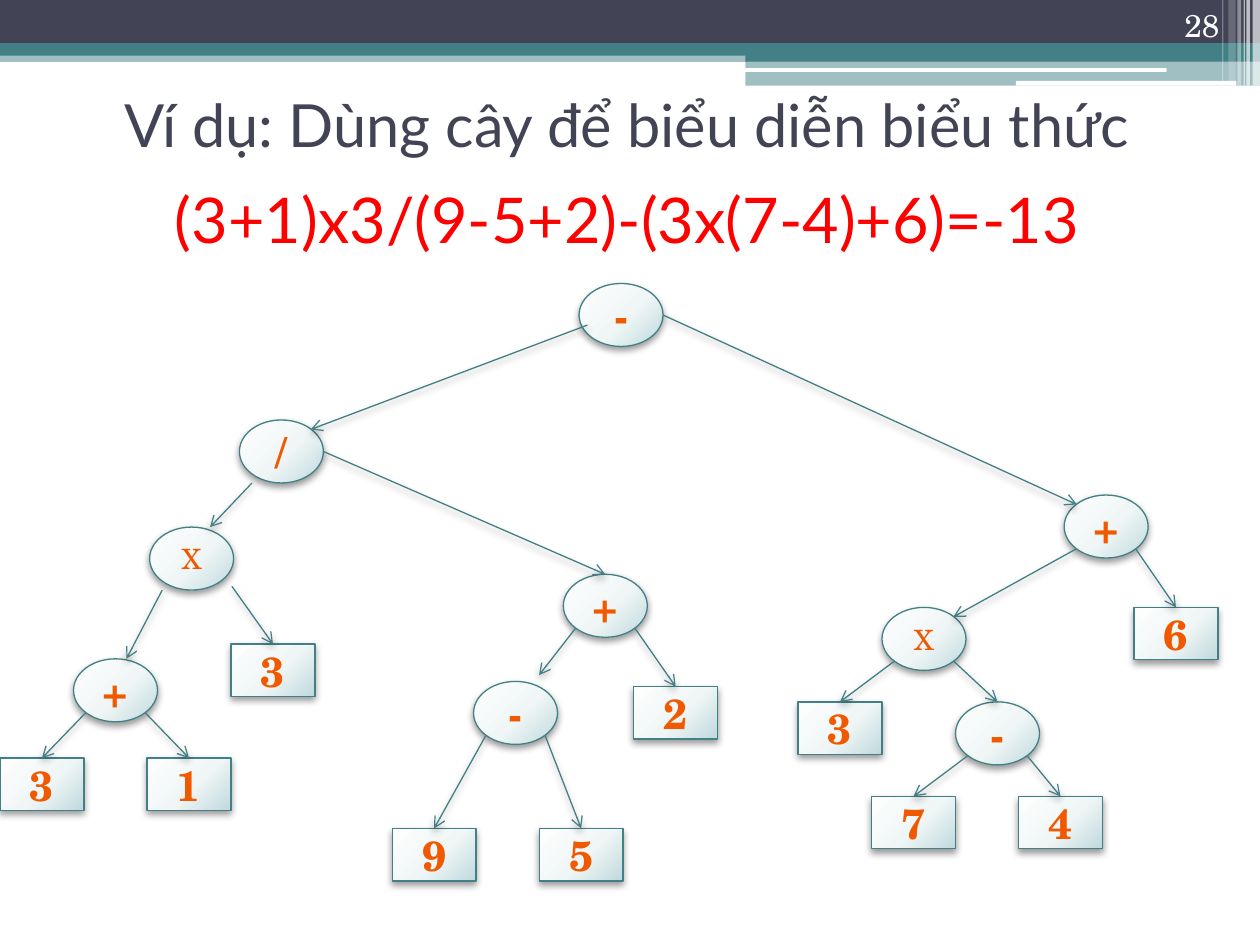
from dataclasses import dataclass
from typing import Iterator

from lxml import etree
from pptx import Presentation
from pptx.dml.color import RGBColor
from pptx.enum.shapes import MSO_CONNECTOR, MSO_SHAPE
from pptx.enum.text import MSO_ANCHOR, MSO_AUTO_SIZE, PP_ALIGN
from pptx.oxml import parse_xml
from pptx.oxml.ns import nsdecls, qn
from pptx.util import Inches, Pt

RECT, ROUND, ELLIPSE = MSO_SHAPE.RECTANGLE, MSO_SHAPE.ROUNDED_RECTANGLE, MSO_SHAPE.OVAL
CENTER, RIGHT_ALIGN = PP_ALIGN.CENTER, PP_ALIGN.RIGHT
MIDDLE, BOTTOM = MSO_ANCHOR.MIDDLE, MSO_ANCHOR.BOTTOM
STRAIGHT = MSO_CONNECTOR.STRAIGHT

# The slide is a grid of 120 columns by 90 rows.
COLUMNS, ROWS = 120, 90
CELL = Inches(10) // COLUMNS
NODE_WIDTH, OPERATOR_HEIGHT, NUMBER_HEIGHT = 8, 6, 5

# Points on a node, as shares of its width and height.
TOP, RIGHT = (0.5, 0), (1, 0.5)
TOP_LEFT, TOP_RIGHT = (0.15, 0.15), (0.85, 0.15)
LOW_LEFT, LOW_RIGHT = (0.15, 0.85), (0.85, 0.85)


@dataclass(frozen=True)
class Theme:
    dark: str = "424456"
    teal: str = "438086"
    white: str = "FFFFFF"
    red: str = "FF0000"
    text_edge: str = "9C4816"
    node_stops: tuple = ((0, "FEFEFE"), (55, "F0F6F6"), (100, "BFD9DD"))
    text_stops: tuple = ((0, "782C00"), (43, "F15900"), (48, "E15300"), (100, "782C00"))
    title_font: str = "Lato"
    body_font: str = "TeX Gyre Schola"
    title_size: float = 34
    formula_size: float = 36
    label_size: float = 24
    times_size: float = 16
    number_size: float = 18
    line_width: float = 0.75


THEME = Theme()


@dataclass(frozen=True)
class Band:
    column: float
    row: float
    width: float
    height: float
    color: str
    opacity: int = 100
    shape: int = RECT


@dataclass(frozen=True)
class Node:
    label: str
    column: float
    row: float
    branches: tuple = ()

    @property
    def height(self) -> float:
        return OPERATOR_HEIGHT if self.branches else NUMBER_HEIGHT

    def point(self, share: tuple) -> tuple:
        return self.column + share[0] * NODE_WIDTH, self.row + share[1] * self.height


@dataclass(frozen=True)
class Branch:
    child: Node
    start: tuple
    end: tuple = TOP


BANDS = (
    Band(0, 4.8, COLUMNS, 1.1, THEME.teal, 50),
    Band(0, 0, COLUMNS, 4.1, THEME.dark),
    Band(0, 4.1, COLUMNS, 1.2, THEME.teal),
    Band(71, 4.7, 49, 1.15, THEME.teal),
    Band(71, 5.8, 49, 2.35, THEME.teal, 50),
    Band(70.9, 6.5, 40.2, 0.36, THEME.white, 100, ROUND),
    Band(96.75, 7.7, 21, 0.45, THEME.white, 100, ROUND),
    *(Band(column, 0, width, height, THEME.white, opacity)
      for column, width, height, opacity in (
          (119.3, 0.7, 8.15, 65), (118.7, 0.35, 8.15, 65), (118.45, 0.12, 8.15, 60),
          (117.85, 0.35, 8.15, 40), (117, 0.7, 7.7, 20), (116.4, 0.12, 7.7, 30))),
)

SUM_LEFT = Node("+", 7, 62.75, (
    Branch(Node("3", 0, 72.2), LOW_LEFT),
    Branch(Node("1", 14, 72.2), LOW_RIGHT)))
PRODUCT_LEFT = Node("X", 14.25, 50.2, (
    Branch(SUM_LEFT, (0.15, 1), (0.63, 0)),
    Branch(Node("3", 22, 61.35), (0.98, 0.94))))
DIFFERENCE_MIDDLE = Node("-", 45.1, 64.9, (
    Branch(Node("9", 37.35, 78.9), LOW_LEFT),
    Branch(Node("5", 51.35, 78.9), LOW_RIGHT)))
SUM_MIDDLE = Node("+", 53.65, 54.7, (
    Branch(DIFFERENCE_MIDDLE, LOW_LEFT, (0.78, -0.1)),
    Branch(Node("2", 60.35, 65.4), LOW_RIGHT)))
QUOTIENT = Node("/", 22.8, 40, (
    Branch(PRODUCT_LEFT, (0.15, 1), (0.72, 0)),
    Branch(SUM_MIDDLE, RIGHT)))
DIFFERENCE_RIGHT = Node("-", 91, 66.85, (
    Branch(Node("7", 83, 75.85), LOW_LEFT),
    Branch(Node("4", 97, 75.85), LOW_RIGHT)))
PRODUCT_RIGHT = Node("X", 84, 57.85, (
    Branch(Node("3", 76, 66.85), LOW_LEFT),
    Branch(DIFFERENCE_RIGHT, LOW_RIGHT)))
SUM_RIGHT = Node("+", 101.35, 47.15, (
    Branch(PRODUCT_RIGHT, LOW_LEFT, TOP_RIGHT),
    Branch(Node("6", 108, 57.85), LOW_RIGHT)))
ROOT = Node("-", 55.15, 27, (
    Branch(QUOTIENT, (0.1, 0.66), TOP_RIGHT),
    Branch(SUM_RIGHT, RIGHT, TOP_LEFT)))


def cells(*counts: float) -> list:
    return [round(count * CELL) for count in counts]


def walk(node: Node) -> Iterator[Node]:
    yield node
    for branch in node.branches:
        yield from walk(branch.child)


def gradient(stops: tuple, direction: str):
    marks = "".join(f'<a:gs pos="{place * 1000}"><a:srgbClr val="{color}"/></a:gs>'
                    for place, color in stops)
    return parse_xml(f'<a:gradFill {nsdecls("a")} rotWithShape="1">'
                     f"<a:gsLst>{marks}</a:gsLst>{direction}</a:gradFill>")


def add_shadow(item) -> None:
    item._element.spPr.append(parse_xml(
        f'<a:effectLst {nsdecls("a")}><a:outerShdw blurRad="{Pt(4.1)}" dist="{Pt(2)}" '
        'dir="5400000" rotWithShape="0"><a:srgbClr val="000000"><a:alpha val="40000"/>'
        "</a:srgbClr></a:outerShdw></a:effectLst>"))


def style_line(item) -> None:
    item.line.color.rgb = RGBColor.from_string(THEME.teal)
    item.line.width = Pt(THEME.line_width)


def write(para, text: str, align: int, color: str = "", **font_values):
    para.alignment = align
    span = para.add_run()
    span.text = text
    for name, value in font_values.items():
        setattr(span.font, name, value)
    if color:
        span.font.color.rgb = RGBColor.from_string(color)
    return span


def draw_band(shapes, band: Band) -> None:
    box = shapes.add_shape(band.shape, *cells(band.column, band.row, band.width, band.height))
    box.shadow.inherit = False
    box.line.fill.background()
    box.fill.solid()
    box.fill.fore_color.rgb = RGBColor.from_string(band.color)
    if band.opacity < 100:
        tint = box._element.spPr.find(".//" + qn("a:srgbClr"))
        etree.SubElement(tint, qn("a:alpha")).set("val", str(band.opacity * 1000))


def draw_node(shapes, node: Node) -> None:
    box = shapes.add_shape(ELLIPSE if node.branches else RECT,
                           *cells(node.column, node.row, NODE_WIDTH, node.height))
    box.fill.background()
    properties = box._element.spPr
    properties.replace(properties.find(qn("a:noFill")), gradient(
        THEME.node_stops, '<a:path path="circle"><a:fillToRect l="-40000" t="-90000" '
                          'r="140000" b="190000"/></a:path>'))
    style_line(box)
    add_shadow(box)
    box.text_frame.vertical_anchor = MIDDLE
    times = node.label == "X"
    span = write(box.text_frame.paragraphs[0], node.label, CENTER, name=THEME.body_font,
                 size=Pt(THEME.times_size if times else THEME.label_size), bold=not times)
    edge = parse_xml(f'<a:ln {nsdecls("a")} w="{Pt(0.71)}"><a:solidFill>'
                     f'<a:srgbClr val="{THEME.text_edge}"/></a:solidFill></a:ln>')
    span.font._element.insert(0, edge)
    edge.addnext(gradient(THEME.text_stops, '<a:lin ang="5400000"/>'))


def draw_branch(shapes, parent: Node, branch: Branch) -> None:
    arrow = shapes.add_connector(STRAIGHT, *cells(*parent.point(branch.start),
                                                  *branch.child.point(branch.end)))
    style_line(arrow)
    etree.SubElement(arrow.line._get_or_add_ln(), qn("a:tailEnd")).set("type", "arrow")
    add_shadow(arrow)


def place_title(page) -> None:
    title = page.shapes.title
    page.shapes._spTree.append(title._element)
    for name, value in zip(("left", "top", "width", "height"), cells(7, 5.75, 105.4, 19.2)):
        setattr(title, name, value)
    frame = title.text_frame
    frame.vertical_anchor, frame.auto_size = BOTTOM, MSO_AUTO_SIZE.NONE
    lines = (("Ví dụ: Dùng cây để biểu diễn biểu thức", THEME.title_size, THEME.dark),
             ("(3+1)x3/(9-5+2)-(3x(7-4)+6)=-13", THEME.formula_size, THEME.red))
    for index, (text, size, color) in enumerate(lines):
        para = frame.add_paragraph() if index else frame.paragraphs[0]
        para.space_after = Pt(12)
        write(para, text, CENTER, color, name=THEME.title_font, size=Pt(size))


def main() -> None:
    deck = Presentation()
    deck.slide_width, deck.slide_height = cells(COLUMNS, ROWS)
    page = deck.slides.add_slide(deck.slide_layouts[5])
    for band in BANDS:
        draw_band(page.shapes, band)
    place_title(page)
    tree = page.shapes.add_group_shape().shapes
    for node in walk(ROOT):
        draw_node(tree, node)
    for node in walk(ROOT):
        for branch in node.branches:
            draw_branch(tree, node, branch)
    number = page.shapes.add_textbox(*cells(107.3, 0, 10, 4.8)).text_frame
    number.word_wrap, number.vertical_anchor = True, BOTTOM
    write(number.paragraphs[0], "28", RIGHT_ALIGN, THEME.white,
          name=THEME.body_font, size=Pt(THEME.number_size))
    deck.save("out.pptx")


if __name__ == "__main__":
    main()
